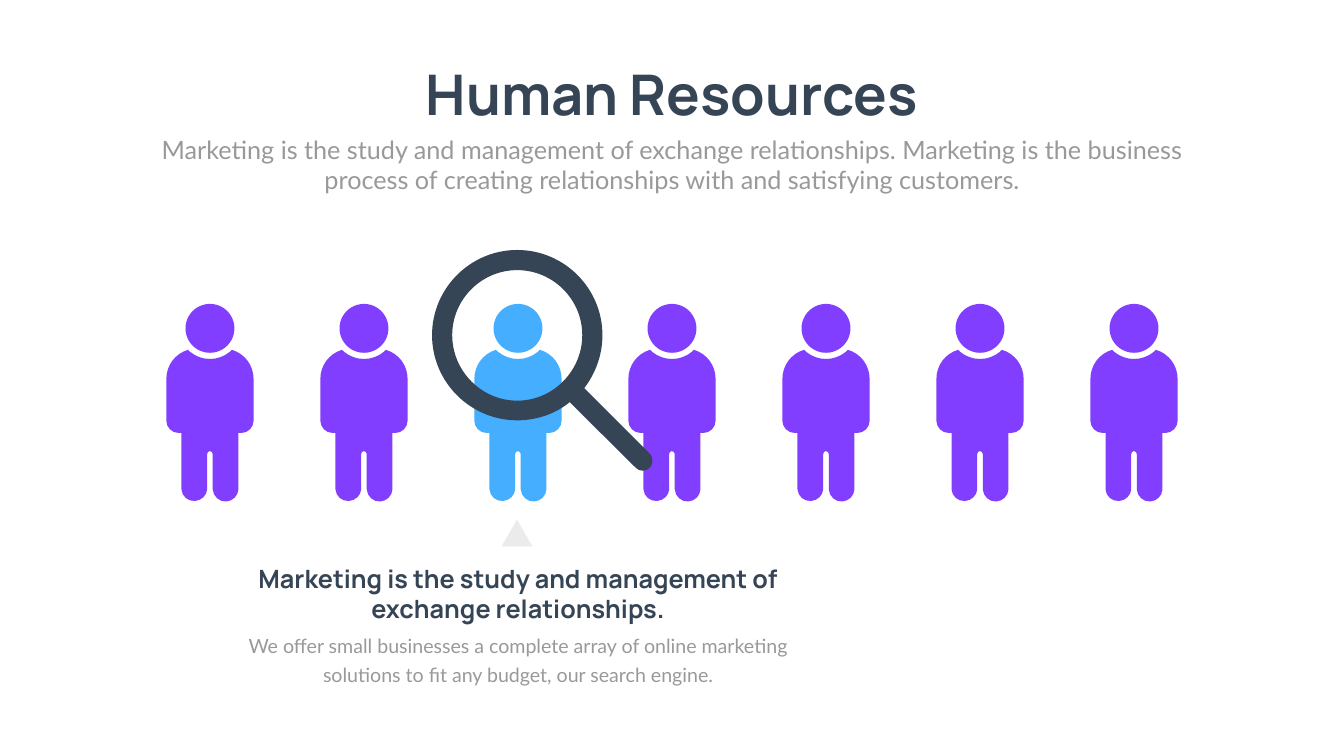
from dataclasses import dataclass
from typing import NamedTuple

from lxml import etree
from pptx import Presentation
from pptx.dml.color import RGBColor
from pptx.enum.shapes import MSO_SHAPE
from pptx.enum.text import MSO_AUTO_SIZE, PP_ALIGN
from pptx.oxml.ns import qn
from pptx.util import Inches, Pt

CENTER = PP_ALIGN.CENTER
GROW = MSO_AUTO_SIZE.SHAPE_TO_FIT_TEXT
OVAL = MSO_SHAPE.OVAL
TRIANGLE = MSO_SHAPE.ISOSCELES_TRIANGLE


@dataclass(frozen=True)
class Theme:
    dark: str = "364556"
    muted: str = "999999"
    person: str = "823EFE"
    selected: str = "45AEFF"
    pointer: str = "EBEBEB"
    heading_font: str = "Manrope"
    body_font: str = "Lato"
    title_size: int = 80
    lead_size: int = 36
    detail_size: int = 28
    detail_leading: float = 40.8


THEME = Theme()


class Caption(NamedTuple):
    text: str
    left: float
    top: float
    width: float
    height: float
    size: int
    heading: bool
    wrap: bool = True
    leading: float | None = None


class Contour(NamedTuple):
    start: tuple
    steps: list


CAPTIONS = [
    Caption("Human Resources", 7.97, 1.14, 10.72, 1.45, THEME.title_size, True, wrap=False),
    Caption("Marketing is the study and management of exchange relationships. "
            "Marketing is the business process of creating relationships with "
            "and satisfying customers.",
            2.92, 2.61, 20.82, 1.31, THEME.lead_size, False),
    Caption("Marketing is the study and management of exchange relationships.",
            4.17, 11.13, 12.21, 1.31, THEME.lead_size, True),
    Caption("We offer small businesses a complete array of online marketing "
            "solutions to fit any budget, our search engine.",
            4.17, 12.43, 12.21, 1.19, THEME.detail_size, False,
            leading=THEME.detail_leading),
]

PEOPLE = 7
SELECTED = 2
FIRST_LEFT = 3.3
LAST_LEFT = 21.63
PITCH = (LAST_LEFT - FIRST_LEFT) / (PEOPLE - 1)
BODY_TOP = 6.94
HEAD_TOP = 6.03
HEAD_INSET = 0.38
HEAD_SIZE = 0.97

BODY = Contour((1.3, 0), [
    (1.29, 0.01, 1.27, 0.03, 1.26, 0.04), (1.03, 0.23, 0.7, 0.23, 0.47, 0.04),
    (0.46, 0.03, 0.44, 0.01, 0.43, 0), (0.17, 0.08, 0, 0.31, 0, 0.58),
    (0, 1.41), (0, 1.54, 0.11, 1.65, 0.24, 1.65), (0.3, 1.65),
    (0.3, 2.77), (0.31, 2.91, 0.43, 3.01, 0.57, 3), (0.7, 2.99, 0.8, 2.89, 0.81, 2.77),
    (0.81, 2.07), (0.81, 2.04, 0.83, 2.01, 0.86, 2.01),
    (0.9, 2.01, 0.92, 2.04, 0.92, 2.07), (0.92, 2.77),
    (0.93, 2.91, 1.05, 3.02, 1.19, 3.01), (1.32, 3, 1.42, 2.9, 1.43, 2.77),
    (1.43, 1.65), (1.49, 1.65), (1.62, 1.65, 1.73, 1.54, 1.73, 1.41),
    (1.73, 0.58), (1.73, 0.31, 1.56, 0.08, 1.3, 0),
])
LENS_RIM = Contour((12.89, 9), [
    (11.59, 7.7), (11.81, 7.41, 11.95, 7.05, 11.95, 6.65),
    (11.95, 5.72, 11.19, 4.96, 10.26, 4.96), (9.33, 4.96, 8.57, 5.72, 8.57, 6.65),
    (8.57, 7.58, 9.33, 8.34, 10.26, 8.34), (10.65, 8.34, 11.02, 8.21, 11.3, 7.98),
    (12.61, 9.28), (12.64, 9.32, 12.7, 9.34, 12.75, 9.34),
    (12.8, 9.34, 12.85, 9.32, 12.89, 9.28), (12.96, 9.2, 12.96, 9.08, 12.89, 9),
])
LENS_OPENING = Contour((10.26, 7.95), [
    (9.55, 7.95, 8.97, 7.36, 8.97, 6.65), (8.97, 5.94, 9.55, 5.36, 10.26, 5.36),
    (10.97, 5.36, 11.55, 5.94, 11.55, 6.65), (11.55, 7.36, 10.97, 7.95, 10.26, 7.95),
])


def paint(shape, color: str) -> None:
    shape.shadow.inherit = False
    shape.fill.solid()
    shape.fill.fore_color.rgb = RGBColor.from_string(color)
    shape.line.fill.background()


def place(contour: Contour, left: float, top: float) -> list:
    points = [contour.start]
    for step in contour.steps:
        points.extend(zip(step[::2], step[1::2]))
    return [(Inches(left + x), Inches(top + y)) for x, y in points]


def bend(outline, contours: list) -> None:
    lines = iter(list(outline._element.iter(qn("a:lnTo"))))
    for contour in contours:
        for step in contour.steps:
            segment = [next(lines) for _ in range(len(step) // 2)]
            if len(segment) == 1:
                continue
            curve = etree.Element(qn("a:cubicBezTo"))
            segment[0].addprevious(curve)
            for line in segment:
                curve.append(line[0])
                line.getparent().remove(line)


def draw_outline(shapes, contours: list, color: str, left: float = 0, top: float = 0) -> None:
    first, *others = [place(contour, left, top) for contour in contours]
    builder = shapes.build_freeform(*first[0])
    builder.add_line_segments(first[1:], close=True)
    for points in others:
        builder.move_to(*points[0])
        builder.add_line_segments(points[1:], close=True)
    outline = builder.convert_to_shape()
    bend(outline, contours)
    paint(outline, color)


def draw_person(slide, left: float, color: str) -> None:
    person = slide.shapes.add_group_shape()
    draw_outline(person.shapes, [BODY], color, left, BODY_TOP)
    head = person.shapes.add_shape(OVAL, Inches(left + HEAD_INSET), Inches(HEAD_TOP),
                                   Inches(HEAD_SIZE), Inches(HEAD_SIZE))
    paint(head, color)


def draw_caption(slide, caption: Caption) -> None:
    box = slide.shapes.add_textbox(Inches(caption.left), Inches(caption.top),
                                   Inches(caption.width), Inches(caption.height))
    frame = box.text_frame
    frame.word_wrap = caption.wrap
    frame.auto_size = GROW
    paragraph = frame.paragraphs[0]
    paragraph.text = caption.text
    paragraph.alignment = CENTER
    if caption.leading:
        paragraph.line_spacing = Pt(caption.leading)
    font = paragraph.font
    font.name = THEME.heading_font if caption.heading else THEME.body_font
    font.size = Pt(caption.size)
    font.bold = caption.heading
    font.color.rgb = RGBColor.from_string(THEME.dark if caption.heading else THEME.muted)


def main() -> None:
    deck = Presentation()
    deck.slide_width, deck.slide_height = Inches(26.66), Inches(15)
    slide = deck.slides.add_slide(deck.slide_layouts[6])
    for index in range(PEOPLE):
        color = THEME.selected if index == SELECTED else THEME.person
        draw_person(slide, FIRST_LEFT + index * PITCH, color)
    draw_outline(slide.shapes, [LENS_RIM, LENS_OPENING], THEME.dark)
    for caption in CAPTIONS:
        draw_caption(slide, caption)
    pointer = slide.shapes.add_shape(TRIANGLE, Inches(9.95), Inches(10.31),
                                     Inches(0.61), Inches(0.53))
    paint(pointer, THEME.pointer)
    deck.save("out.pptx")


if __name__ == "__main__":
    main()
